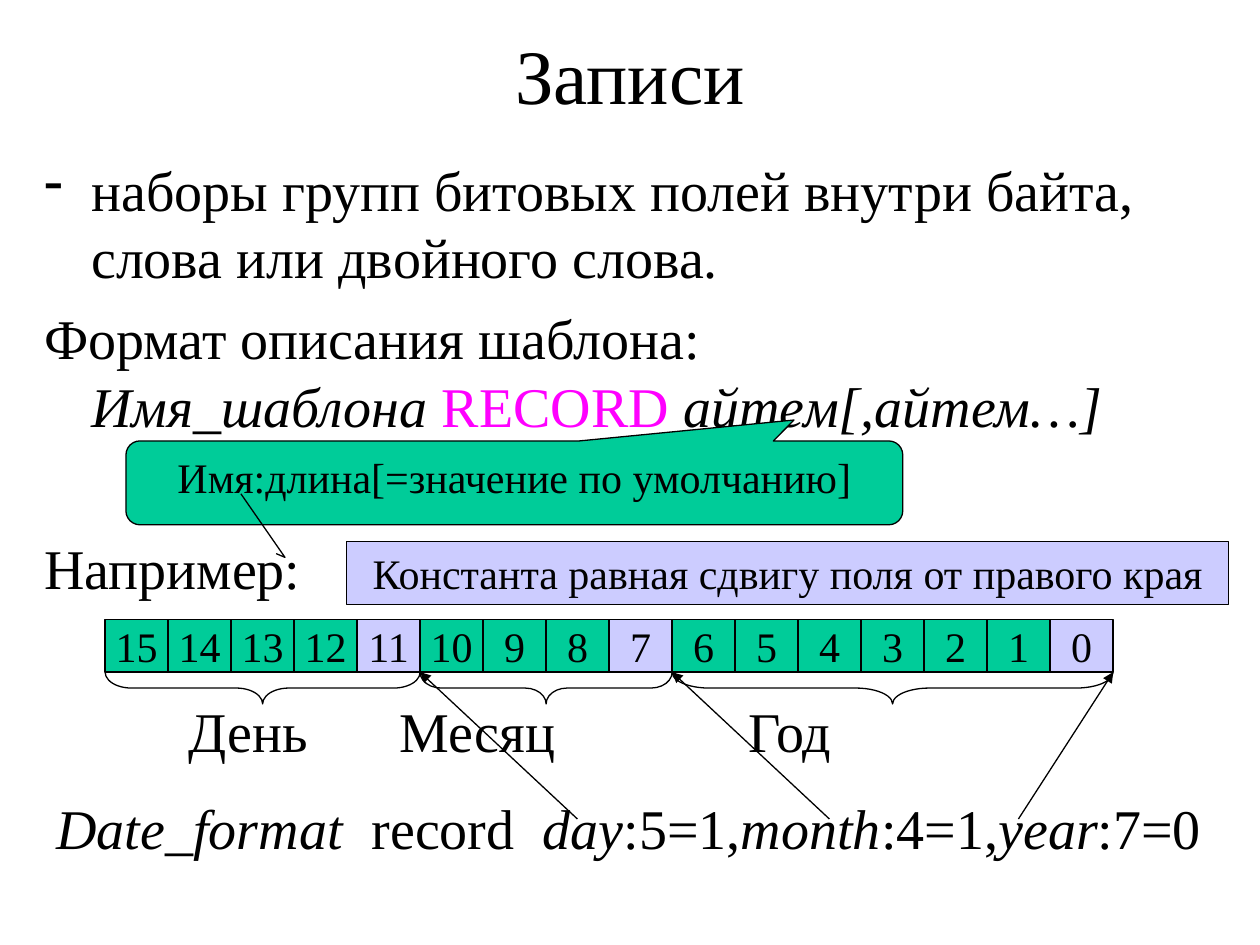
import lxml.etree
import pptx
import pptx.dml.color
import pptx.enum.shapes
import pptx.enum.text
import pptx.oxml.ns
import pptx.util
from dataclasses import dataclass
from pptx.util import Cm


@dataclass(frozen=True)
class Theme:
    font: str = "Times New Roman"
    title: int = 44
    body: int = 32
    small: int = 24
    black: str = "000000"
    green: str = "00CC99"
    lilac: str = "CCCCFF"
    keyword: str = "FF00FF"


theme = Theme()
rgb = pptx.dml.color.RGBColor.from_string
qn = pptx.oxml.ns.qn
SHAPE = pptx.enum.shapes.MSO_SHAPE
CENTER = pptx.enum.text.PP_ALIGN.CENTER
LEFT = pptx.enum.text.PP_ALIGN.LEFT
MIDDLE = pptx.enum.text.MSO_ANCHOR.MIDDLE


def fill_paragraph(paragraph, runs, size, align=LEFT, tabs=()):
    """Write (text, italic, colour) runs, with left tab stops in centimetres."""
    if tabs:
        tab_list = lxml.etree.SubElement(paragraph._p.get_or_add_pPr(), qn("a:tabLst"))
        for position in tabs:
            lxml.etree.SubElement(tab_list, qn("a:tab"), pos=str(Cm(position)), algn="l")
    paragraph.alignment = align
    paragraph.font.name = theme.font
    paragraph.font.size = pptx.util.Pt(size)
    paragraph.font.color.rgb = rgb(theme.black)
    for text, italic, colour in runs:
        if text == "\n":
            paragraph.add_line_break()
            continue
        run = paragraph.add_run()
        run.text = text
        if italic:
            run.font.italic = True
        if colour != theme.black:
            run.font.color.rgb = rgb(colour)


def add_box(preset, left, top, width, height, fill, text):
    """Add an outlined shape with one centred line of small text."""
    shape = slide.shapes.add_shape(preset, Cm(left), Cm(top), Cm(width), Cm(height))
    shape.shadow.inherit = False
    shape.fill.solid()
    shape.fill.fore_color.rgb = rgb(fill)
    shape.line.color.rgb = rgb(theme.black)
    shape.line.width = pptx.util.Pt(0.75)
    shape.text_frame.vertical_anchor = pptx.enum.text.MSO_ANCHOR.TOP
    fill_paragraph(shape.text_frame.paragraphs[0], [(text, False, theme.black)],
                   theme.small, CENTER)
    return shape


presentation = pptx.Presentation()
presentation.slide_width = Cm(25.4)
presentation.slide_height = Cm(19.05)
slide = presentation.slides.add_slide(presentation.slide_layouts[6])

# Title
title = slide.shapes.add_textbox(Cm(1.9), Cm(0.42), Cm(21.6), Cm(2.12))
title.text_frame.word_wrap = True
title.text_frame.vertical_anchor = MIDDLE
fill_paragraph(title.text_frame.paragraphs[0], [("Записи", False, theme.black)],
               theme.title, CENTER)

# Body: runs, space before in points, tab stops
body_paragraphs = [
    ([("наборы групп битовых полей внутри байта, слова или двойного слова.",
       False, theme.black)], 0, ()),
    ([("Формат описания шаблона:", False, theme.black), ("\n", False, theme.black),
      ("Имя_шаблона ", True, theme.black), ("RECORD ", False, theme.keyword),
      ("айтем[,айтем…]", True, theme.black)], 8, ()),
    ([("Например:", False, theme.black)], 54.5, ()),
    ([("\tДень\tМесяц\tГод", False, theme.black)], 54.5, (2.92, 7.16, 14.2)),
]
body = slide.shapes.add_textbox(Cm(0.64), Cm(3), Cm(24.13), Cm(12.5))
body.text_frame.word_wrap = True
for index, (runs, space_before, tabs) in enumerate(body_paragraphs):
    if index == 0:
        paragraph = body.text_frame.paragraphs[0]
    else:
        paragraph = body.text_frame.add_paragraph()
    properties = paragraph._p.get_or_add_pPr()
    if index < 2:
        properties.set("marL", str(Cm(0.95)))
        properties.set("indent", str(-Cm(0.95)))
    if index == 0:
        lxml.etree.SubElement(properties, qn("a:buChar"), char="-")
    fill_paragraph(paragraph, runs, theme.body, tabs=tabs)
    paragraph.line_spacing = pptx.util.Pt(38.5)
    paragraph.space_before = pptx.util.Pt(space_before)

# Callout describing an item
item_callout = add_box(SHAPE.ROUNDED_RECTANGULAR_CALLOUT, 2.54, 8.89, 15.66, 1.69,
                       theme.green, "Имя:длина[=значение по умолчанию]")
item_callout.adjustments[0] = 0.36
item_callout.adjustments[1] = -0.75

# Bit row; the lowest bit of each field is highlighted
bit_left, bit_top, bit_width, bit_height = 2.12, 12.49, 1.27, 1.06
row_bottom = bit_top + bit_height
field_lengths = [5, 4, 7]
field_ends = [sum(field_lengths[:count]) for count in (1, 2, 3)]
for column in range(16):
    colour = theme.lilac if column + 1 in field_ends else theme.green
    bit = add_box(SHAPE.RECTANGLE, bit_left + column * bit_width, bit_top,
                  bit_width, bit_height, colour, str(15 - column))
    bit.text_frame.vertical_anchor = MIDDLE
    bit.text_frame.word_wrap = False

# Braces under the fields, and arrows from the record line to the field ends
brace_depth = 0.64
arrow_starts = [11.64, 16.72, 20.53]
for length, end, arrow_start in zip(field_lengths, field_ends, arrow_starts):
    span = length * bit_width
    center = bit_left + end * bit_width - span / 2
    brace = slide.shapes.add_shape(
        SHAPE.LEFT_BRACE, Cm(center - brace_depth / 2),
        Cm(row_bottom + brace_depth / 2 - span / 2), Cm(brace_depth), Cm(span))
    brace.rotation = 270
    brace.adjustments[0] = span / brace_depth / 12
    brace.shadow.inherit = False
    brace.fill.background()
    arrow = slide.shapes.add_connector(
        pptx.enum.shapes.MSO_CONNECTOR.STRAIGHT, Cm(arrow_start), Cm(16.51),
        Cm(bit_left + end * bit_width), Cm(row_bottom))
    for outlined in (brace, arrow):
        outlined.line.color.rgb = rgb(theme.black)
        outlined.line.width = pptx.util.Pt(0.75)
    lxml.etree.SubElement(arrow.line._get_or_add_ln(), qn("a:tailEnd"), type="triangle")
    lxml.etree.SubElement(arrow._element.spPr, qn("a:effectLst"))

# Record example
record = slide.shapes.add_textbox(Cm(0.89), Cm(15.88), Cm(24.2), Cm(1.63))
record.text_frame.word_wrap = True
record_runs = [("Date_format", True), ("\trecord\t", False), ("day", True), (":5=1,", False),
               ("month", True), (":4=1,", False), ("year", True), (":7=0", False)]
fill_paragraph(record.text_frame.paragraphs[0],
               [(text, italic, theme.black) for text, italic in record_runs],
               theme.body, tabs=(6.35, 9.8))

# Callout about the constant
constant_callout = add_box(SHAPE.LINE_CALLOUT_2, 6.99, 10.92, 17.78, 1.27, theme.lilac,
                           "Константа равная сдвигу поля от правого края")
for index, value in enumerate([0.19, -0.08, 0.25, -0.07, -0.76, -0.12]):
    constant_callout.adjustments[index] = value

presentation.save("out.pptx")
